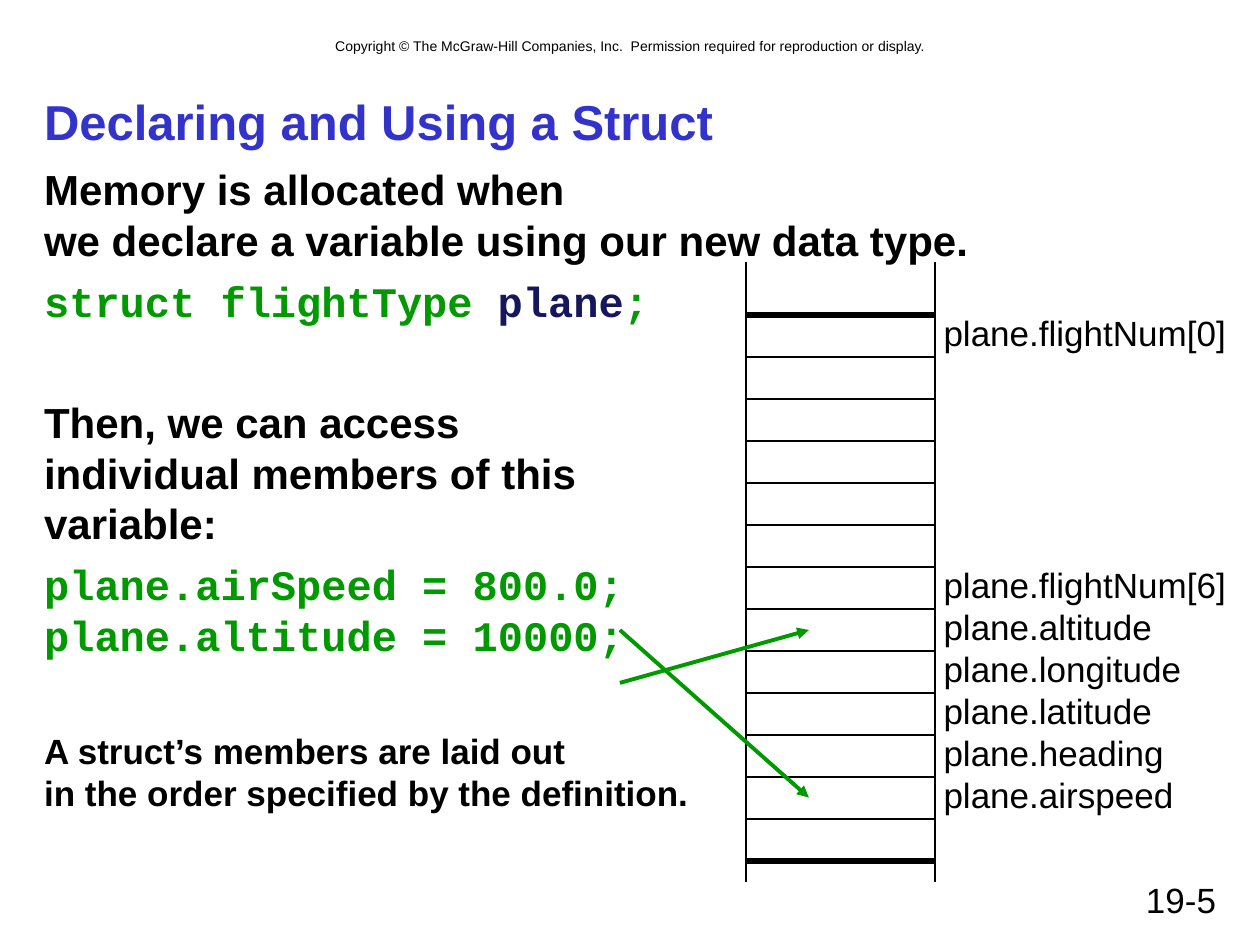
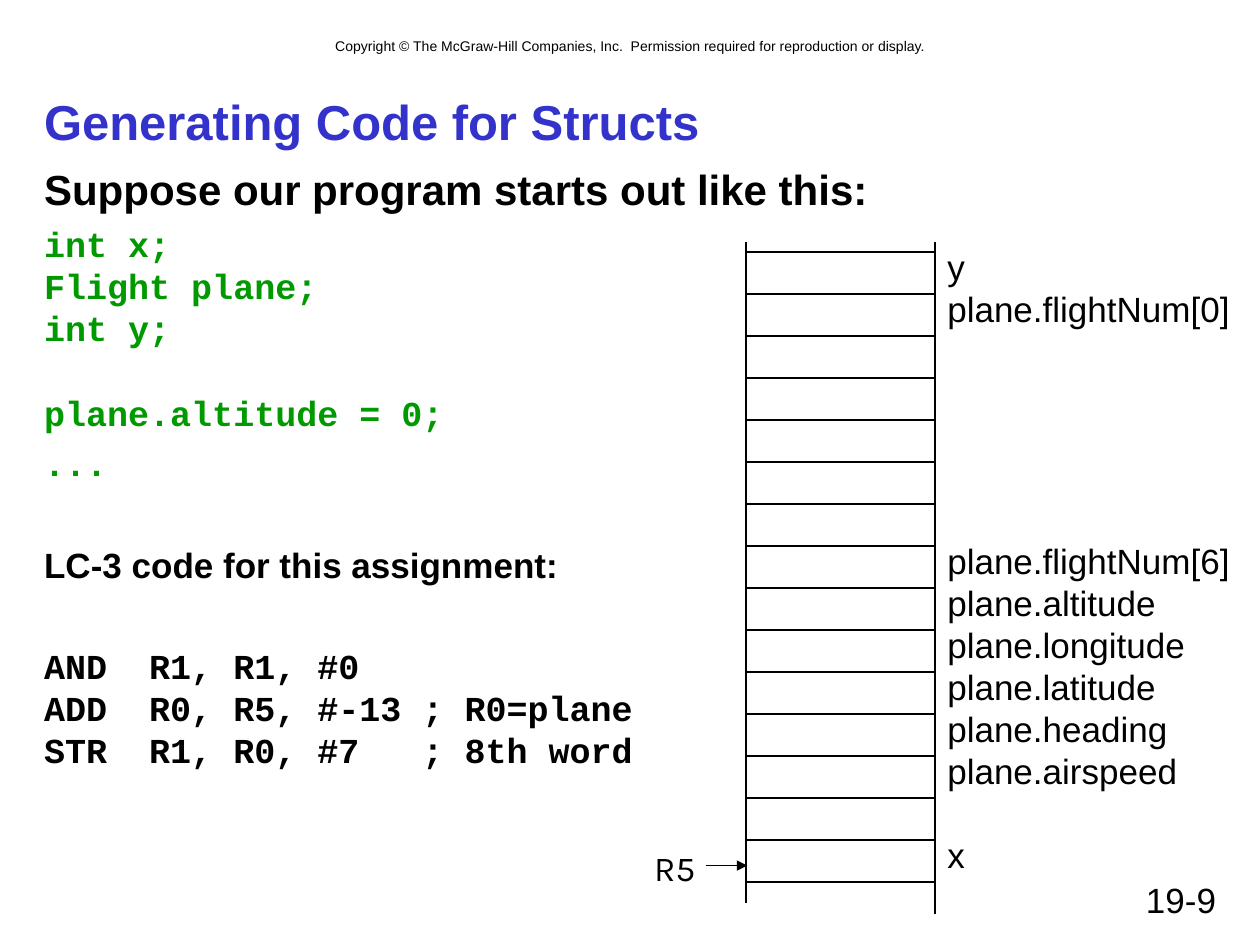
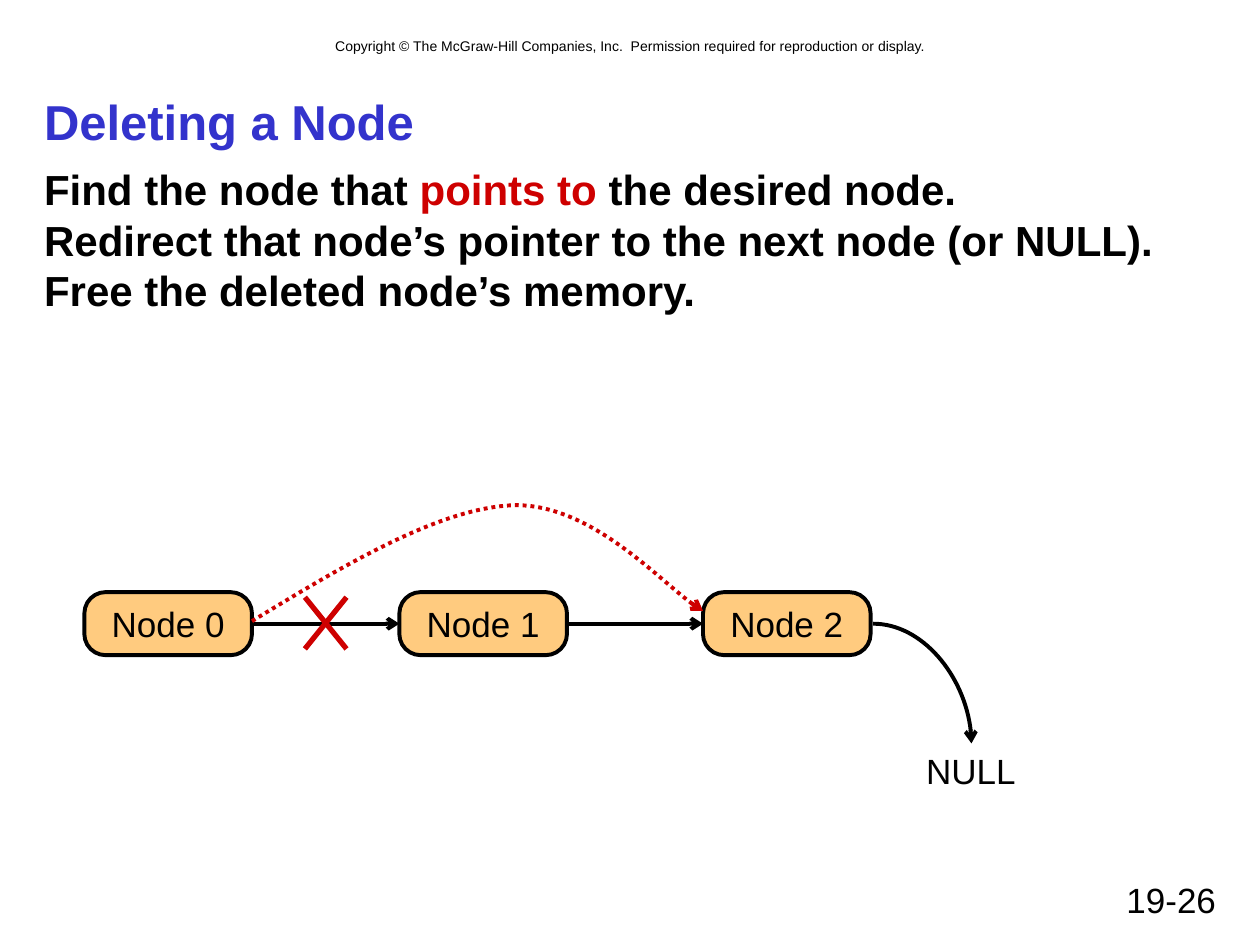
from lxml import etree
from pptx import Presentation
from pptx.dml.color import RGBColor
from pptx.enum.dml import MSO_LINE
from pptx.enum.shapes import MSO_CONNECTOR, MSO_SHAPE
from pptx.enum.text import MSO_ANCHOR, MSO_AUTO_SIZE, PP_ALIGN
from pptx.oxml.ns import qn
from pptx.util import Inches, Pt

LEFT, CENTER, RIGHT = PP_ALIGN.LEFT, PP_ALIGN.CENTER, PP_ALIGN.RIGHT
TOP, MIDDLE = MSO_ANCHOR.TOP, MSO_ANCHOR.MIDDLE
STRAIGHT, CURVE = MSO_CONNECTOR.STRAIGHT, MSO_CONNECTOR.CURVE
ROUND, DOTS = MSO_SHAPE.ROUNDED_RECTANGLE, MSO_LINE.ROUND_DOT

COLORS = {"black": "000000", "title": "3333CC", "code": "009900",
          "name": "16165D", "red": "CE0000", "node": "FF9900"}
SANS, MONO, KARLA = "Arial", "Courier New", "Karla"
NOTICE = ("Copyright © The McGraw-Hill Companies, Inc.  "
          "Permission required for reproduction or display.")

# Memory column
COL_L, COL_R, CELL = 5.92, 7.42, 1 / 3
THIN, BOLD, THICK = 0.75, 2.25, 3
FIELDS = ["altitude", "longitude", "latitude", "heading", "airspeed"]


def color(name):
    return RGBColor.from_string(COLORS[name])


def para(*runs, size=20, font=SANS, hue="black", gap=0):
    """Describe a paragraph; each run is a text or a (text, colour) pair."""
    pairs = [run if isinstance(run, tuple) else (run, hue) for run in runs]
    return {"runs": pairs, "size": size, "font": font, "gap": gap}


def plane_rows():
    """Labels of the struct's words, with five unlabelled words skipped."""
    return [para("plane.flightNum[0]"), para("plane.flightNum[6]", gap=120),
            *(para("plane." + field) for field in FIELDS)]


class Deck:
    def __init__(self):
        self.prs = Presentation()
        self.prs.slide_width, self.prs.slide_height = Inches(10), Inches(7.5)
        self.slide = None

    def page(self, title, number, body, height=5.42):
        """Start a slide with its title, body, notice and number."""
        self.slide = self.prs.slides.add_slide(self.prs.slide_layouts[1])
        self.text(0.67, 0.25, 8.67, 0.24, [para(NOTICE, size=8)], CENTER)
        self.text(7.17, 6.92, 2.58, 0.42, [para(number)], RIGHT)
        head, main = self.slide.placeholders
        self.place(head, 0.25, 0.67, 9.5, 0.58)
        self.fill(head, [para(title, size=28, hue="title")], anchor=MIDDLE, bold=True)
        self.place(main, 0.25, 1.25, 9.5, height)
        self.fill(main, body, bold=True)

    def place(self, shape, x, y, w, h):
        shape.left, shape.top = Inches(x), Inches(y)
        shape.width, shape.height = Inches(w), Inches(h)

    def fill(self, shape, paras, align=LEFT, anchor=TOP, wrap=True, bold=False):
        """Write paragraphs run by run, without bullets."""
        frame = shape.text_frame
        frame.auto_size = MSO_AUTO_SIZE.NONE
        frame.word_wrap, frame.vertical_anchor = wrap, anchor
        for i, item in enumerate(paras):
            p = frame.add_paragraph() if i else frame.paragraphs[0]
            props = p._p.get_or_add_pPr()
            props.set("marL", "0")
            props.set("indent", "0")
            etree.SubElement(props, qn("a:buNone"))
            p.alignment = align
            p.line_spacing = Pt(1.2 * item["size"])
            p.space_before = Pt(item["gap"])
            for words, hue in item["runs"]:
                for j, line in enumerate(words.split("\n")):
                    if j:
                        p.add_line_break()
                    run = p.add_run()
                    run.text = line
                    run.font.name, run.font.size = item["font"], Pt(item["size"])
                    run.font.bold = bold
                    run.font.color.rgb = color(hue)

    def text(self, x, y, w, h, paras, align=LEFT, wrap=True):
        box = self.slide.shapes.add_textbox(Inches(x), Inches(y), Inches(w), Inches(h))
        self.fill(box, paras, align, wrap=wrap)

    def stroke(self, shape, hue, width, tail=None, dash=None):
        shape.line.color.rgb = color(hue)
        shape.line.width = Pt(width)
        if dash:
            shape.line.dash_style = dash
        if tail:
            end = etree.SubElement(shape.line._get_or_add_ln(), qn("a:tailEnd"))
            end.set("type", tail)

    def line(self, x1, y1, x2, y2, hue="black", width=THIN, tail=None, kind=STRAIGHT):
        link = self.slide.shapes.add_connector(
            kind, Inches(x1), Inches(y1), Inches(x2), Inches(y2))
        self.stroke(link, hue, width, tail)
        etree.SubElement(link._element.spPr, qn("a:effectLst"))
        return link

    def join(self, start, end):
        """Draw an arrow from the right side of one box to the left of another."""
        link = self.line(0, 0, 1, 1, width=BOLD, tail="arrow")
        link.begin_connect(start, 3)
        link.end_connect(end, 1)

    def bend(self, x1, y1, x2, y2):
        """Draw a quarter-turn arrow."""
        link = self.line(x1, y1, x2, y2, width=BOLD, tail="arrow", kind=CURVE)
        link._element.spPr.find(qn("a:prstGeom")).set("prst", "curvedConnector2")

    def arc(self, points, hue):
        """Draw a dotted arrow: a start point, then three points per Bezier."""
        start, *rest = [(Inches(x), Inches(y)) for x, y in points]
        pen = self.slide.shapes.build_freeform(*start)
        pen.add_line_segments(rest, close=False)
        shape = pen.convert_to_shape()
        shape.shadow.inherit = False
        shape.fill.background()
        self.stroke(shape, hue, BOLD, "arrow", DOTS)
        steps = list(shape._element.iter(qn("a:lnTo")))
        track = steps[0].getparent()
        for i in range(0, len(steps), 3):
            curve = etree.SubElement(track, qn("a:cubicBezTo"))
            for step in steps[i:i + 3]:
                curve.append(step[0])
                track.remove(step)

    def node(self, x, label):
        box = self.slide.shapes.add_shape(
            ROUND, Inches(x), Inches(4.7), Inches(1.33), Inches(0.5))
        box.adjustments[0] = 0.337
        box.shadow.inherit = False
        box.fill.solid()
        box.fill.fore_color.rgb = color("node")
        tint = box._element.spPr.find(qn("a:solidFill"))[0]
        etree.SubElement(tint, qn("a:alpha")).set("val", "50000")
        self.stroke(box, "black", BOLD)
        self.fill(box, [para(label)], CENTER, MIDDLE, wrap=False)
        return box

    def memory(self, top, ends, first, count, thick=()):
        """Draw the two rails and the evenly spaced word borders."""
        for x, end in zip((COL_L, COL_R), ends):
            self.line(x, top, x, end)
        for i in range(count):
            y = first + i * CELL
            self.line(COL_L, y, COL_R, y, width=THICK if i in thick else THIN)


def struct_page(deck):
    deck.page("Declaring and Using a Struct", "19-5", [
        para("Memory is allocated when\n"
             "we declare a variable using our new data type.", size=24),
        para("struct flightType ", ("plane", "name"), ";",
             size=24, font=MONO, hue="code", gap=6),
        para("Then, we can access\nindividual members of this\nvariable:",
             size=24, gap=40.8),
        para("plane.airSpeed = 800.0;\nplane.altitude = 10000;",
             size=24, font=MONO, hue="code", gap=6),
        para("A struct’s members are laid out\n"
             "in the order specified by the definition.", gap=39.8),
    ], height=5.83)
    deck.memory(2.08, (7, 7), 2.5, 14, thick=(0, 13))
    deck.text(7.39, 2.42, 2.44, 4.44, plane_rows(), wrap=False)
    # Assignments to their words
    for start, end in ((5, 6.33), (5.42, 5)):
        deck.line(4.92, start, 6.42, end, "code", BOLD, "triangle")


def code_page(deck):
    deck.page("Generating Code for Structs", "19-9", [
        para("Suppose our program starts out like this:", size=24),
        para("int x;\nFlight plane;\nint y;", font=MONO, hue="code", gap=5),
        para("plane.altitude = 0;", font=MONO, hue="code", gap=24),
        para("...", font=MONO, hue="code", gap=5),
        para("LC-3 code for this assignment:", gap=34),
        para("AND  R1, R1, #0\nADD  R0, R5, #-13 ; R0=plane\n"
             "STR  R1, R0, #7   ; 8th word", font=MONO, gap=34),
    ])
    deck.memory(1.92, (7.17, 7.25), 2, 16)
    deck.text(7.42, 1.9, 2.44, 5.1,
              [para("y"), *plane_rows(), para("x", gap=24)], wrap=False)
    # Frame pointer
    deck.text(5.09, 6.67, 0.53, 0.44, [para("R5", font=KARLA)], CENTER, wrap=False)
    deck.line(5.6, 6.87, 5.93, 6.87, tail="triangle")


def delete_page(deck):
    deck.page("Deleting a Node", "19-26", [
        para("Find the node that ", ("points to", "red"),
             " the desired node.\n"
             "Redirect that node’s pointer to the next node (or NULL).\n"
             "Free the deleted node’s memory.", size=24)])
    # Linked list
    nodes = [deck.node(x, f"Node {i}") for i, x in enumerate((0.67, 3.17, 5.58))]
    for start, end in zip(nodes, nodes[1:]):
        deck.join(start, end)
    deck.text(7.25, 5.9, 0.91, 0.44, [para("NULL")], CENTER, wrap=False)
    deck.bend(6.93, 4.95, 7.71, 5.9)
    # Crossed-out link and its detour
    for x1, x2 in ((2.75, 2.42), (2.42, 2.75)):
        deck.line(x1, 4.74, x2, 5.15, "red", THICK)
    deck.arc([(2, 4.93), (2.74, 4.48), (3.49, 4.03), (4.08, 4.01),
              (4.68, 4), (5.33, 4.71), (5.58, 4.85)], "red")


def main():
    deck = Deck()
    struct_page(deck)
    code_page(deck)
    delete_page(deck)
    deck.prs.save("out.pptx")


if __name__ == "__main__":
    main()
